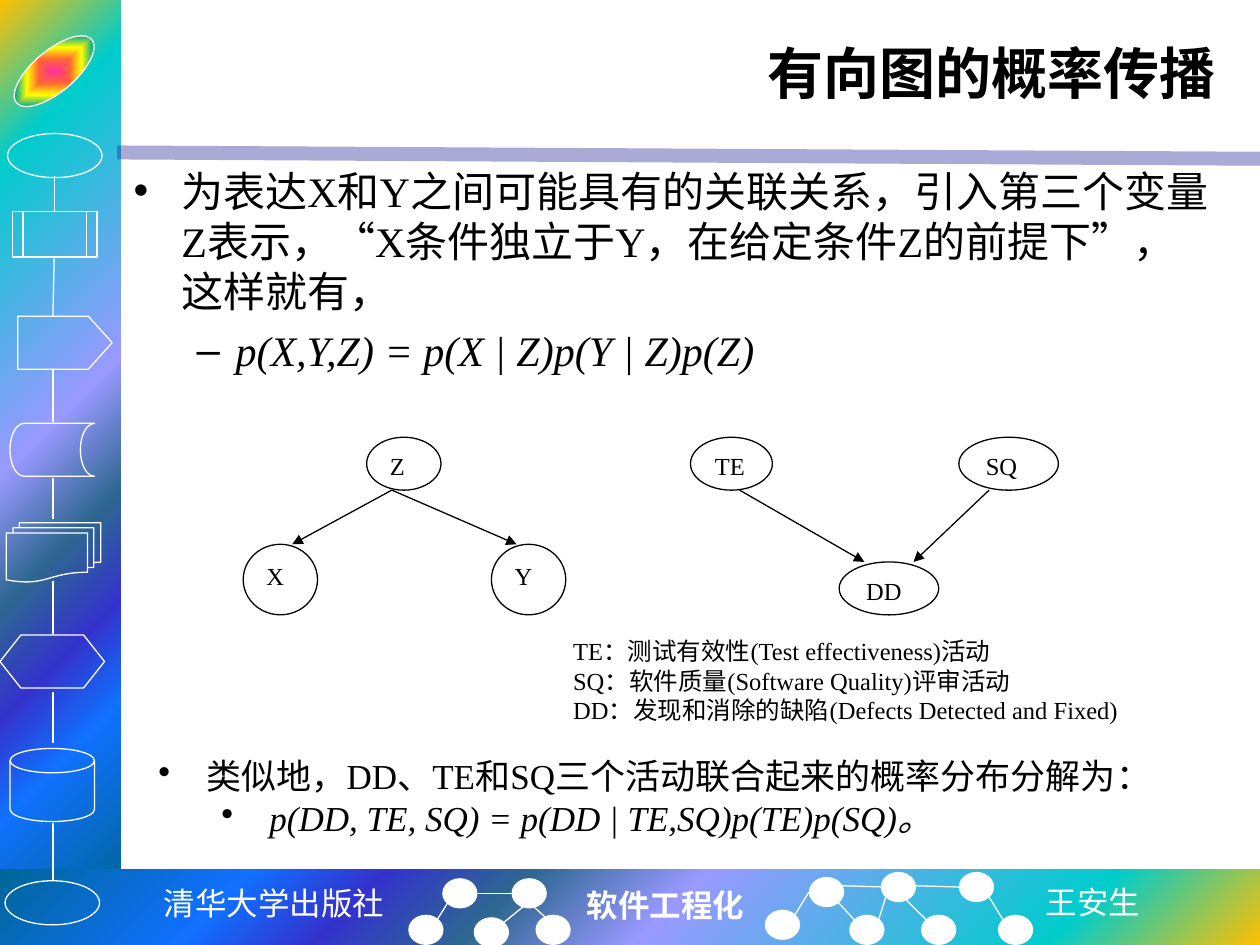
from lxml import etree
from pptx import Presentation
from pptx.dml.color import RGBColor
from pptx.enum.shapes import MSO_CONNECTOR, MSO_SHAPE
from pptx.enum.text import MSO_ANCHOR, MSO_AUTO_SIZE, PP_ALIGN
from pptx.oxml.ns import qn
from pptx.util import Cm, Pt

STRAIGHT = MSO_CONNECTOR.STRAIGHT
RECTANGLE, OVAL = MSO_SHAPE.RECTANGLE, MSO_SHAPE.OVAL
TOP, MIDDLE = MSO_ANCHOR.TOP, MSO_ANCHOR.MIDDLE
LEFT, CENTER, RIGHT = PP_ALIGN.LEFT, PP_ALIGN.CENTER, PP_ALIGN.RIGHT
FIXED, GROW = MSO_AUTO_SIZE.NONE, MSO_AUTO_SIZE.SHAPE_TO_FIT_TEXT
SERIF, SANS, MONO = "Times New Roman", "Noto Sans CJK SC", "Noto Sans Mono"
WHITE, BLACK = "FFFFFF", "000000"

FRAME_STOPS = [(0, "FFC000"), (16, "00CCCC"), (47, "9999FF"), (60, "2E6792"),
               (71, "3333CC"), (81, "1170FF"), (100, "006699")]
BADGE_STOPS = [(0, "FF3399"), (25, "FF6633"), (50, "FFFF00"),
               (75, "01A78F"), (100, "3366FF")]

FLOW_SHAPES = [
    (OVAL, (0.06, 1.06, 0.75, 0.35)),
    (MSO_SHAPE.FLOWCHART_PREDEFINED_PROCESS, (0.1, 1.68, 0.67, 0.36)),
    (MSO_SHAPE.PENTAGON, (0.14, 2.51, 0.75, 0.42)),
    (MSO_SHAPE.FLOWCHART_STORED_DATA, (0.08, 3.36, 0.67, 0.42)),
    (MSO_SHAPE.FLOWCHART_MULTIDOCUMENT, (0.05, 4.15, 0.75, 0.47)),
    (MSO_SHAPE.FLOWCHART_PREPARATION, (0, 5.04, 0.83, 0.42)),
    (MSO_SHAPE.FLOWCHART_MAGNETIC_DISK, (0.08, 5.94, 0.67, 0.58)),
    (OVAL, (0.04, 6.99, 0.75, 0.35)),
]
FLOW_LINKS = [
    (0.43, 1.4, 0.43, 1.68), (0.43, 2.05, 0.42, 2.51), (0.42, 2.93, 0.42, 3.35),
    (0.42, 3.79, 0.42, 4.12), (0.42, 4.61, 0.42, 5.03), (0.42, 5.49, 0.42, 5.9),
    (0.42, 6.53, 0.42, 6.99),
]
FOOTER_DOTS = [
    (3.24, 7.26), (3.51, 6.97), (3.76, 7.28), (4.06, 6.97), (4.25, 7.26),
    (6.07, 7.22), (6.42, 6.96), (6.74, 7.26), (6.99, 6.92), (7.31, 7.26),
    (7.61, 6.92), (7.92, 7.26),
]
FOOTER_LINKS = [
    (3.47, 7.3, 3.55, 7.17), (4, 7.32, 4.16, 7.19), (4.06, 7.09, 3.79, 7.09),
    (4.34, 7.29, 4.24, 7.2), (6.31, 7.26, 6.42, 7.08), (6.78, 7.3, 6.65, 7.16),
    (6.68, 7.03, 7.03, 7.04), (6.97, 7.31, 7.03, 7.12), (7.35, 7.3, 7.15, 7.1),
    (7.26, 7.03, 7.61, 7.04), (7.96, 7.3, 7.85, 7.12),
]
GRAPH_NODES = [
    ("X", (1.93, 4.32, 0.59, 0.56)), ("Z", (2.91, 3.47, 0.59, 0.42)),
    ("Y", (3.9, 4.32, 0.59, 0.56)), ("TE", (5.48, 3.47, 0.65, 0.42)),
    ("SQ", (7.61, 3.47, 0.79, 0.42)), ("DD", (6.66, 4.46, 0.79, 0.42)),
]
GRAPH_ARROWS = [
    (3.11, 3.89, 2.32, 4.32), (3.11, 3.89, 4.1, 4.32),
    (5.87, 3.89, 6.86, 4.46), (7.85, 3.89, 7.25, 4.46),
]
LEGEND = ["TE：测试有效性(Test effectiveness)活动",
          "SQ：软件质量(Software Quality)评审活动",
          "DD：发现和消除的缺陷(Defects Detected and Fixed)"]


def inches(*values):
    return [Cm(value * 2.54) for value in values]


def color(value):
    return RGBColor.from_string(value)


def child(parent, tag, **attributes):
    return etree.SubElement(parent, qn(tag), attributes)


def place(box, bounds):
    for name, value in zip(("left", "top", "width", "height"), inches(*bounds)):
        setattr(box, name, value)


def set_frame(box, **values):
    for name, value in values.items():
        setattr(box.text_frame, name, value)


def write(box, index, text, size, font=SERIF, ink=BLACK, align=LEFT,
          level=0, bullet=None, indent=None, **styles):
    frame = box.text_frame
    para = frame.paragraphs[0] if index == 0 else frame.add_paragraph()
    properties = para._p.get_or_add_pPr()
    if indent:
        for name, value in zip(("marL", "indent"), inches(*indent)):
            properties.set(name, str(value))
    if bullet:
        child(properties, "a:buChar", char=bullet)
    para.alignment = align
    para.level = level
    if index == 0:
        para.space_before = Pt(0)
    span = para.add_run()
    span.text = text
    for name, value in {"name": font, "size": Pt(size), **styles}.items():
        setattr(span.font, name, value)
    span.font.color.rgb = color(ink)
    child(span._r.get_or_add_rPr(), "a:ea", typeface=SANS)


def add_outline(shapes, kind, bounds, line=None, fill=None):
    shape = shapes.add_shape(kind, *inches(*bounds))
    shape.shadow.inherit = False
    if fill:
        shape.fill.solid()
        shape.fill.fore_color.rgb = color(fill)
    else:
        shape.fill.background()
    if line:
        shape.line.color.rgb = color(line)
        shape.line.width = Pt(0.75)
    else:
        shape.line.fill.background()
    return shape


def fill_gradient(shape, stops, kind, focus):
    shape.fill.gradient()
    gradient = shape._element.spPr.find(qn("a:gradFill"))
    for part in list(gradient):
        gradient.remove(part)
    stop_list = child(gradient, "a:gsLst")
    for position, value in stops:
        stop = child(stop_list, "a:gs", pos=str(position * 1000))
        child(stop, "a:srgbClr", val=value)
    route = child(gradient, "a:path", path=kind)
    sides = {side: str(value * 1000) for side, value in zip("ltrb", focus)}
    child(route, "a:fillToRect", **sides)


def add_line(shapes, ends, ink, width=0.75, arrow=False, opacity=None):
    link = shapes.add_connector(STRAIGHT, *inches(*ends))
    link.line.color.rgb = color(ink)
    link.line.width = Pt(width)
    stroke = link.line._get_or_add_ln()
    if opacity:
        child(stroke.find(".//" + qn("a:srgbClr")), "a:alpha", val=str(opacity * 1000))
    if arrow:
        child(stroke, "a:tailEnd", type="triangle")
    child(link._element.spPr, "a:effectLst")


def add_label(shapes, bounds, text, **styles):
    box = shapes.add_textbox(*inches(*bounds))
    set_frame(box, word_wrap=False, auto_size=GROW)
    write(box, 0, text, 18, ink=WHITE, **styles)


def draw_frame(shapes):
    for bounds, focus in (((0, 0, 0.96, 7.09), (0, 0, 100, 100)),
                          ((0, 6.9, 10, 0.6), (100, 100, 0, 0))):
        band = add_outline(shapes, RECTANGLE, bounds)
        fill_gradient(band, FRAME_STOPS, "circle", focus)
    add_line(shapes, (0.93, 1.21, 10, 1.26), "262699", 8, opacity=39)
    badge = add_outline(shapes, OVAL, (0.04, 0.4, 0.78, 0.33), WHITE)
    badge.rotation = -40
    fill_gradient(badge, BADGE_STOPS, "shape", (50, 50, 50, 50))
    for kind, bounds in FLOW_SHAPES:
        shape = add_outline(shapes, kind, bounds, WHITE)
        if kind == MSO_SHAPE.PENTAGON:
            shape.adjustments[0] = 0.45
    for left, top in FOOTER_DOTS:
        add_outline(shapes, OVAL, (left, top, 0.28, 0.24), fill=WHITE)
    for ends in FLOW_LINKS + FOOTER_LINKS:
        add_line(shapes, ends, WHITE)
    add_label(shapes, (1.19, 6.97, 1.97, 0.4), "清华大学出版社", font=MONO, align=CENTER)
    add_label(shapes, (4.56, 6.98, 1.46, 0.4), "软件工程化", bold=True)
    add_label(shapes, (8.2, 6.96, 0.96, 0.4), "王安生", font=SANS)


def draw_graphs(shapes):
    for text, bounds in GRAPH_NODES:
        node = add_outline(shapes, OVAL, bounds, BLACK)
        set_frame(node, word_wrap=True, vertical_anchor=TOP)
        write(node, 0, text, 14)
    for ends in GRAPH_ARROWS:
        add_line(shapes, ends, BLACK, arrow=True)
    legend = shapes.add_textbox(*inches(4.15, 5, 5.02, 0.84))
    set_frame(legend, word_wrap=True)
    for index, text in enumerate(LEGEND):
        write(legend, index, text, 14, indent=(0, 0.3))


def main():
    deck = Presentation()
    deck.slide_width, deck.slide_height = inches(10, 7.5)
    page = deck.slides.add_slide(deck.slide_layouts[1])
    title, body = page.placeholders
    draw_frame(page.shapes)

    place(title, (1.25, 0.17, 8.5, 0.81))
    set_frame(title, vertical_anchor=MIDDLE, auto_size=FIXED)
    write(title, 0, "有向图的概率传播", 32, align=RIGHT, bold=True)

    place(body, (0.96, 1.26, 8.75, 1.58))
    set_frame(body, auto_size=FIXED)
    write(body, 0, "为表达X和Y之间可能具有的关联关系，引入第三个变量Z表示，“X条件独立于Y，"
          "在给定条件Z的前提下”，这样就有，", 24, bullet="•", indent=(0.38, -0.38))
    write(body, 1, "p(X,Y,Z) = p(X | Z)p(Y | Z)p(Z)", 24, level=1, bullet="–",
          indent=(0.81, -0.31), italic=True)

    joint = page.shapes.add_textbox(*inches(1.16, 5.94, 7.84, 0.77))
    set_frame(joint, word_wrap=True, vertical_anchor=MIDDLE, auto_size=GROW)
    write(joint, 0, "类似地，DD、TE和SQ三个活动联合起来的概率分布分解为：", 20,
          bullet="•", indent=(0.38, -0.38))
    write(joint, 1, "p(DD, TE, SQ) = p(DD | TE,SQ)p(TE)p(SQ)。", 20, level=1,
          bullet="•", indent=(0.88, -0.38), italic=True)

    draw_graphs(page.shapes.add_group_shape().shapes)
    deck.save("out.pptx")


if __name__ == "__main__":
    main()
